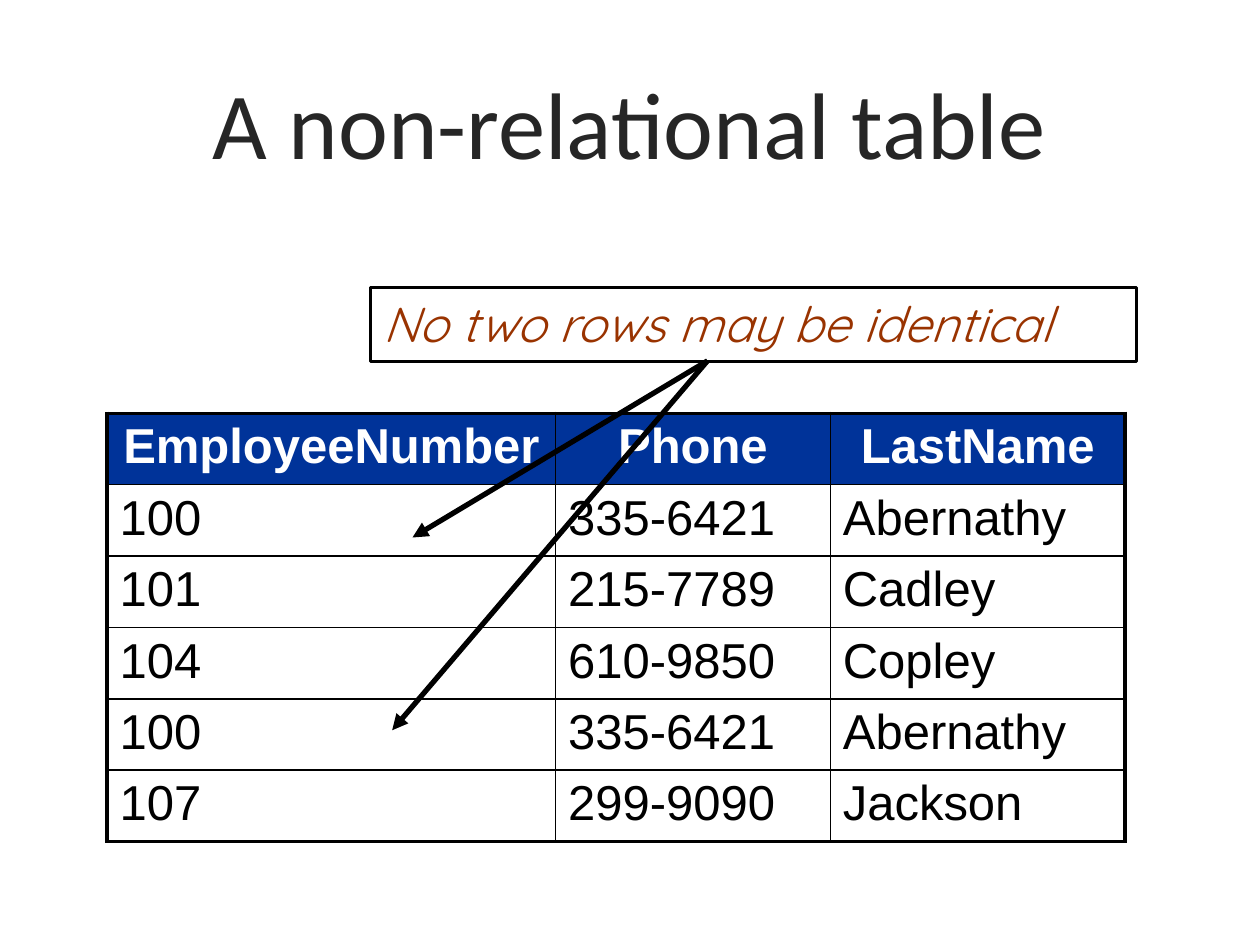
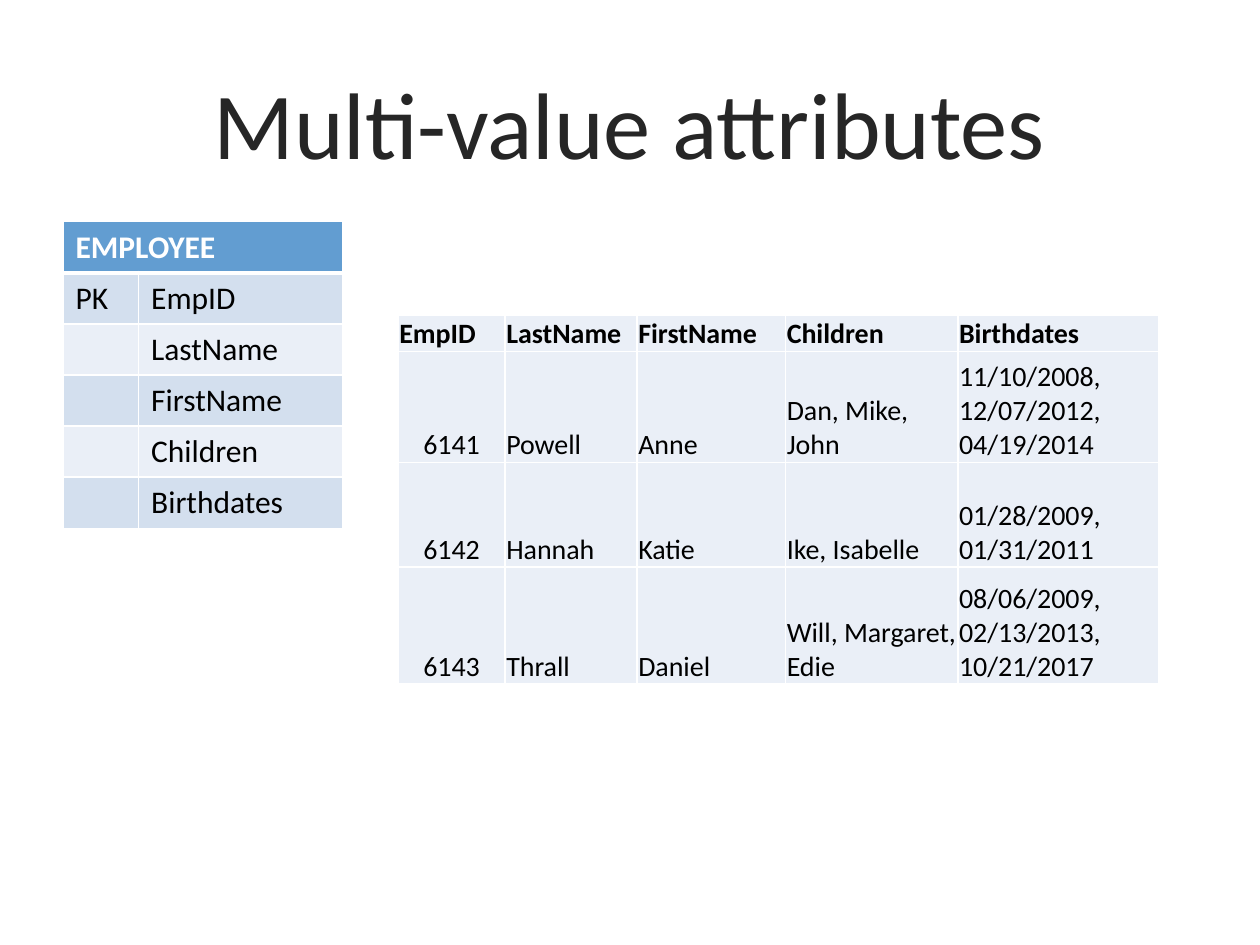
from dataclasses import dataclass

from lxml.etree import SubElement
from pptx import Presentation
from pptx.dml.color import RGBColor
from pptx.enum.shapes import MSO_CONNECTOR, MSO_SHAPE
from pptx.enum.text import MSO_ANCHOR, MSO_AUTO_SIZE, PP_ALIGN
from pptx.oxml.ns import qn
from pptx.util import Inches, Pt

GRID_COLUMNS, GRID_ROWS = 100, 75
SLIDE_WIDTH, SLIDE_HEIGHT = Inches(10), Inches(7.5)
TITLE_ONLY = 5


@dataclass(frozen=True)
class Theme:
    ink: str = "000000"
    paper: str = "FFFFFF"
    title: str = "262626"
    rule: str = "993300"
    relation_header: str = "003399"
    entity_header: str = "629DD1"
    band_dark: str = "D3DFEE"
    band_light: str = "EAEFF7"
    title_font: str = "Calibri"
    relation_font: str = "Arial"
    rule_font: str = "Quicksand"
    title_size: int = 54
    relation_size: int = 28
    entity_size: int = 18
    sample_size: int = 16


THEME = Theme()


@dataclass(frozen=True)
class Box:
    column: float
    row: float
    columns: float
    rows: float

    def frame(self):
        return (*self.point(0, 0),
                int(SLIDE_WIDTH * self.columns / GRID_COLUMNS),
                int(SLIDE_HEIGHT * self.rows / GRID_ROWS))

    def point(self, across, down):
        return (int(SLIDE_WIDTH * (self.column + across * self.columns) / GRID_COLUMNS),
                int(SLIDE_HEIGHT * (self.row + down * self.rows) / GRID_ROWS))


TITLE_BOX = Box(7.9, 3.4, 84.1, 12.5)


def write(frame, text, *, font=THEME.title_font, size, color=THEME.ink,
          bold=False, italic=False, align=PP_ALIGN.LEFT):
    paragraph = frame.paragraphs[0]
    paragraph.alignment = align
    run = paragraph.add_run()
    run.text = text
    run.font.name = font
    run.font.size = Pt(size)
    run.font.bold = bold
    run.font.italic = italic
    run.font.color.rgb = RGBColor.from_string(color)


def titled_slide(deck, heading):
    slide = deck.slides.add_slide(deck.slide_layouts[TITLE_ONLY])
    title = slide.shapes.title
    title.left, title.top, title.width, title.height = TITLE_BOX.frame()
    title.text_frame.auto_size = MSO_AUTO_SIZE.NONE
    title.text_frame.vertical_anchor = MSO_ANCHOR.MIDDLE
    write(title.text_frame, heading, size=THEME.title_size, color=THEME.title,
          align=PP_ALIGN.CENTER)
    return slide


def rule_edges(cell, color, widths):
    properties = cell._tc.get_or_add_tcPr()
    for side, width in zip("LRTB", widths):
        edge = SubElement(properties, qn(f"a:ln{side}"), w=str(Pt(width)))
        SubElement(SubElement(edge, qn("a:solidFill")), qn("a:srgbClr"), val=color)


def paint(cell, color):
    if color is None:
        cell.fill.background()
    else:
        cell.fill.solid()
        cell.fill.fore_color.rgb = RGBColor.from_string(color)


def place_grid(slide, box, records, column_weights, row_weights, *,
               edge_color, across_rules, down_rules, fill_of, format_of,
               insets=(0.1, 0.05, 0.1, 0.05), anchor=MSO_ANCHOR.TOP):
    left, top, width, height = box.frame()
    grid = slide.shapes.add_table(len(row_weights), len(column_weights),
                                  left, top, width, height).table
    grid.first_row = grid.horz_banding = False
    for column, weight in zip(grid.columns, column_weights):
        column.width = int(width * weight / sum(column_weights))
    for row, weight in zip(grid.rows, row_weights):
        row.height = int(height * weight / sum(row_weights))
    for r, record in enumerate(records):
        for c, value in enumerate(record):
            cell = grid.cell(r, c)
            (cell.margin_left, cell.margin_top,
             cell.margin_right, cell.margin_bottom) = map(Inches, insets)
            cell.vertical_anchor = anchor
            rule_edges(cell, edge_color, down_rules[c:c + 2] + across_rules[r:r + 2])
            paint(cell, fill_of(r))
            if value:
                write(cell.text_frame, value, **format_of(r, c))
    return grid


def place_relation(slide, box):
    records = [
        ("EmployeeNumber", "Phone", "LastName"),
        ("100", "335-6421", "Abernathy"),
        ("101", "215-7789", "Cadley"),
        ("104", "610-9850", "Copley"),
        ("100", "335-6421", "Abernathy"),
        ("107", "299-9090", "Jackson"),
    ]

    def format_of(r, c):
        header = r == 0
        return dict(font=THEME.relation_font, size=THEME.relation_size, bold=header,
                    color=THEME.paper if header else THEME.ink,
                    align=PP_ALIGN.CENTER if header else PP_ALIGN.LEFT)

    place_grid(slide, box, records, (3.56, 2.18, 2.34), [1] * len(records),
               edge_color=THEME.ink,
               across_rules=[2.25] + [1] * 5 + [2.25], down_rules=[2.25, 1, 1, 2.25],
               fill_of=lambda r: THEME.relation_header if r == 0 else None,
               format_of=format_of)


def place_rule(slide, box):
    rule = slide.shapes.add_shape(MSO_SHAPE.RECTANGLE, *box.frame())
    rule.shadow.inherit = False
    rule.fill.background()
    rule.line.color.rgb = RGBColor.from_string(THEME.ink)
    rule.line.width = Pt(1.5)
    rule.text_frame.word_wrap = True
    rule.text_frame.auto_size = MSO_AUTO_SIZE.SHAPE_TO_FIT_TEXT
    rule.text_frame.vertical_anchor = MSO_ANCHOR.TOP
    write(rule.text_frame, "No two rows may be identical", font=THEME.rule_font,
          size=THEME.relation_size, color=THEME.rule, italic=True)


def place_arrows(slide, rule_box, relation_box):
    arrows = slide.shapes.add_group_shape().shapes
    start = rule_box.point(0.44, 0.99)
    for duplicate_row in ((0.28, 0.74), (0.3, 0.29)):
        arrow = arrows.add_connector(MSO_CONNECTOR.STRAIGHT, *start,
                                     *relation_box.point(*duplicate_row))
        arrow.line.color.rgb = RGBColor.from_string(THEME.ink)
        arrow.line.width = Pt(3)
        SubElement(arrow.line._get_or_add_ln(), qn("a:tailEnd"), type="triangle")
        SubElement(arrow._element.spPr, qn("a:effectLst"))


def place_entity(slide, box):
    attributes = ["EmpID", "LastName", "FirstName", "Children", "Birthdates"]
    records = [("EMPLOYEE", "")]
    records += [("PK" if i == 0 else "", name) for i, name in enumerate(attributes)]

    def fill_of(r):
        if r == 0:
            return THEME.entity_header
        return THEME.band_dark if r % 2 else THEME.band_light

    def format_of(r, c):
        return dict(size=THEME.entity_size, bold=r == 0,
                    color=THEME.paper if r == 0 else THEME.ink)

    entity = place_grid(slide, box, records, (0.6, 1.62), [1] * len(records),
                        edge_color=THEME.paper,
                        across_rules=[1, 3] + [1] * 5, down_rules=[1] * 3,
                        fill_of=fill_of, format_of=format_of)
    entity.cell(0, 0).merge(entity.cell(0, 1))


def place_sample(slide, box):
    records = [
        ("EmpID", "LastName", "FirstName", "Children", "Birthdates"),
        ("6141", "Powell", "Anne", "Dan, Mike, John",
         "11/10/2008, 12/07/2012, 04/19/2014"),
        ("6142", "Hannah", "Katie", "Ike, Isabelle", "01/28/2009, 01/31/2011"),
        ("6143", "Thrall", "Daniel", "Will, Margaret, Edie",
         "08/06/2009, 02/13/2013, 10/21/2017"),
    ]

    def format_of(r, c):
        return dict(size=THEME.sample_size, bold=r == 0,
                    align=PP_ALIGN.CENTER if r and c == 0 else PP_ALIGN.LEFT)

    place_grid(slide, box, records, (0.85, 1.05, 1.18, 1.37, 1.6),
               (0.29, 0.88, 0.83, 0.93), edge_color=THEME.paper,
               across_rules=[1] * 5, down_rules=[1] * 6,
               fill_of=lambda r: THEME.band_light, format_of=format_of,
               insets=(0.01, 0.01, 0.01, 0), anchor=MSO_ANCHOR.BOTTOM)


def non_relational_slide(deck):
    slide = titled_slide(deck, "A non-relational table")
    relation_box = Box(8.5, 32.8, 80.8, 34)
    rule_box = Box(29.4, 22.8, 60.8, 5.9)
    place_relation(slide, relation_box)
    place_rule(slide, rule_box)
    place_arrows(slide, rule_box, relation_box)


def multi_value_slide(deck):
    slide = titled_slide(deck, "Multi-value attributes")
    place_entity(slide, Box(5, 17.6, 22.2, 24.3))
    place_sample(slide, Box(31.6, 25, 60.4, 29.3))


def main():
    deck = Presentation()
    deck.slide_width, deck.slide_height = SLIDE_WIDTH, SLIDE_HEIGHT
    non_relational_slide(deck)
    multi_value_slide(deck)
    deck.save("out.pptx")


if __name__ == "__main__":
    main()
